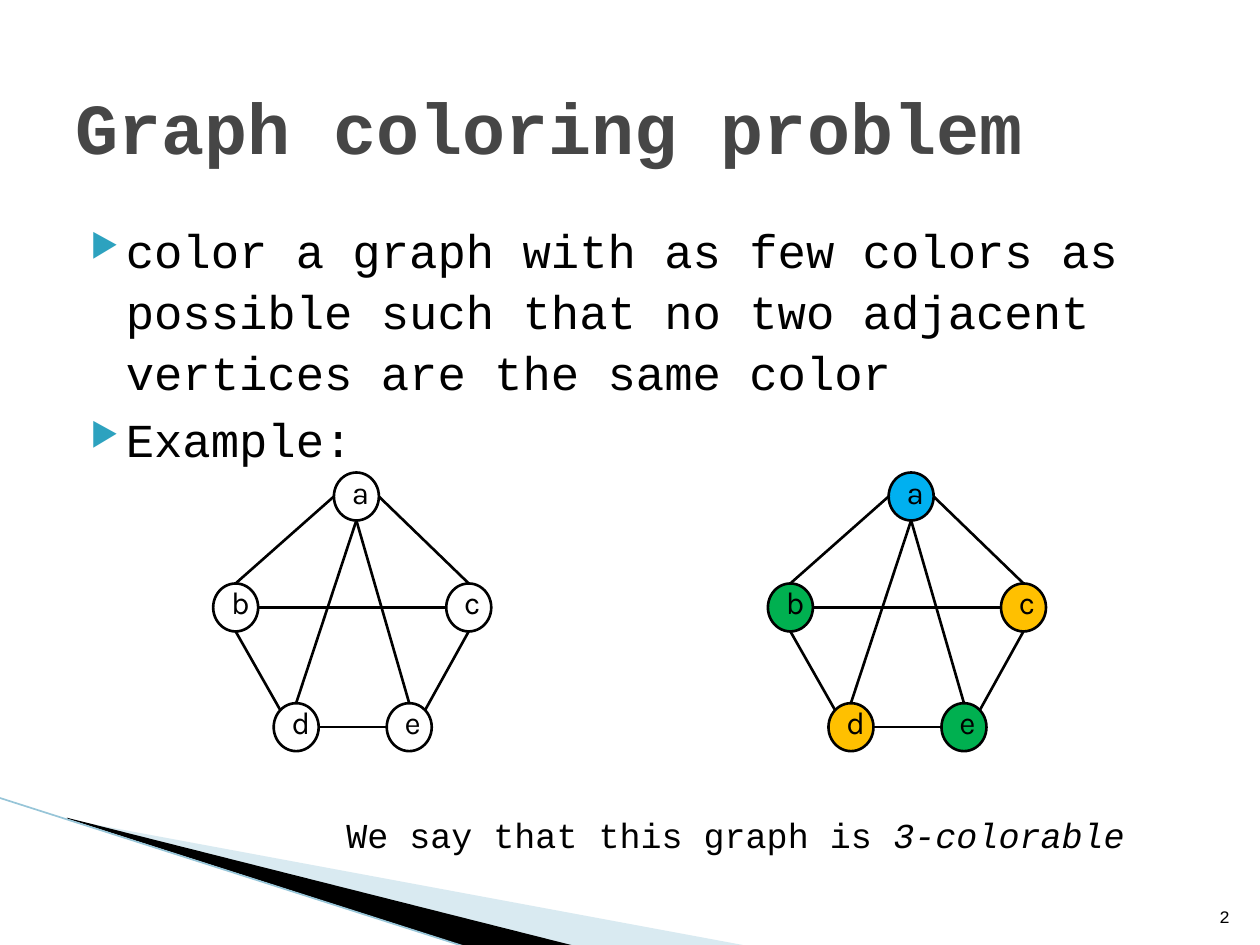
"""Build the slide that introduces the graph coloring problem."""
import lxml.etree
import pptx
import pptx.dml.color
import pptx.enum.shapes
import pptx.enum.text
import pptx.oxml.ns
import pptx.util

Pt = pptx.util.Pt
qn = pptx.oxml.ns.qn
ANCHOR = pptx.enum.text.MSO_ANCHOR
ALIGN = pptx.enum.text.PP_ALIGN

COLORS = {
    "black": "000000", "white": "FFFFFF", "title": "464646",
    "bullet": "2DA2BF", "pale": "A0CBDC", "edge": "97C5D8",
    "blue": "00B0F0", "green": "00B050", "yellow": "FFC000",
}
MONO, LABEL = "Courier New", "Karla"
VERTEX_W, VERTEX_H = 25.7, 27.4
VERTICES = {"a": (190.8, 270), "b": (121.8, 333.4), "c": (255, 333.4),
            "d": (156.4, 401.8), "e": (221, 401.8)}
SIDES = {"top": (0.5, 0), "bottom": (0.5, 1), "left": (0, 0.5), "right": (1, 0.5),
         "top left": (0.15, 0.15), "top right": (0.85, 0.15)}
EDGES = [("c", "bottom", "e", "top right"), ("d", "right", "e", "left"),
         ("d", "top left", "b", "bottom"), ("b", "top", "a", "left"),
         ("c", "top", "a", "right"), ("d", "top", "a", "bottom"),
         ("e", "top", "a", "bottom"), ("c", "left", "b", "right")]
PLAIN = dict.fromkeys(VERTICES, "white")
COLORING = {"a": "blue", "b": "green", "c": "yellow", "d": "yellow", "e": "green"}
GRAPH_SHIFT = 317


def rgb(name):
    """Return the named color."""
    return pptx.dml.color.RGBColor.from_string(COLORS[name])


def style_runs(paragraph, size, font=MONO, color="black", bold=False):
    """Format every run of a paragraph."""
    for run in paragraph.runs:
        run.font.size = Pt(size)
        run.font.name = font
        run.font.bold = bold
        run.font.color.rgb = rgb(color)


def add_text(slide, box, lines, size, color="black", bold=False,
             anchor=ANCHOR.TOP, top_inset=3.6):
    """Add a wrapped text box and return its paragraphs."""
    frame = slide.shapes.add_textbox(*map(Pt, box)).text_frame
    frame.word_wrap = True
    frame.vertical_anchor = anchor
    frame.margin_top = Pt(top_inset)
    frame.text = "\n".join(lines)
    for paragraph in frame.paragraphs:
        style_runs(paragraph, size, color=color, bold=bold)
    return frame.paragraphs


def add_bullet(paragraph):
    """Give a paragraph a hanging triangle bullet."""
    properties = paragraph._p.get_or_add_pPr()
    properties.set("marL", str(Pt(28.8)))
    properties.set("indent", str(-Pt(20.2)))
    bullet_color = lxml.etree.SubElement(properties, qn("a:buClr"))
    lxml.etree.SubElement(bullet_color, qn("a:srgbClr"), val=COLORS["bullet"])
    lxml.etree.SubElement(properties, qn("a:buSzPct"), val="68000")
    lxml.etree.SubElement(properties, qn("a:buChar"), char="▶")


def add_wedge(slide, points, color, opacity=None):
    """Add a filled polygon without an outline."""
    start, *rest = [(Pt(x), Pt(y)) for x, y in points]
    builder = slide.shapes.build_freeform(*start, scale=1.0)
    builder.add_line_segments(rest, close=True)
    wedge = builder.convert_to_shape()
    wedge.shadow.inherit = False
    wedge.fill.solid()
    wedge.fill.fore_color.rgb = rgb(color)
    wedge.line.fill.background()
    if opacity is not None:
        fill_color = wedge._element.spPr.find(".//" + qn("a:srgbClr"))
        lxml.etree.SubElement(fill_color, qn("a:alpha"), val=str(opacity * 1000))


def add_line(shapes, start, end, color="black", width=1.5):
    """Add a straight line without a shadow."""
    line = shapes.add_connector(
        pptx.enum.shapes.MSO_CONNECTOR.STRAIGHT, *map(Pt, (*start, *end)))
    line.line.color.rgb = rgb(color)
    line.line.width = Pt(width)
    lxml.etree.SubElement(line._element.spPr, qn("a:effectLst"))


def add_vertex(shapes, name, left, top, color):
    """Add a labelled vertex of a graph."""
    vertex = shapes.add_shape(pptx.enum.shapes.MSO_SHAPE.OVAL,
                              *map(Pt, (left, top, VERTEX_W, VERTEX_H)))
    vertex.shadow.inherit = False
    vertex.fill.solid()
    vertex.fill.fore_color.rgb = rgb(color)
    vertex.line.color.rgb = rgb("black")
    vertex.line.width = Pt(1.5)
    frame = vertex.text_frame
    frame.word_wrap = False
    frame.vertical_anchor = ANCHOR.MIDDLE
    frame.margin_left, frame.margin_bottom = Pt(6.5), Pt(5.8)
    frame.margin_top = frame.margin_right = 0
    frame.text = name
    frame.paragraphs[0].alignment = ALIGN.LEFT
    style_runs(frame.paragraphs[0], 18, LABEL)


def vertex_point(name, side, shift):
    """Return the point where an edge meets a vertex."""
    left, top = VERTICES[name]
    across, down = SIDES[side]
    return left + shift + across * VERTEX_W, top + down * VERTEX_H


def add_graph(slide, coloring, shift=0):
    """Add the five-vertex graph as a group."""
    graph = slide.shapes.add_group_shape().shapes
    for name, (left, top) in VERTICES.items():
        add_vertex(graph, name, left + shift, top, coloring[name])
    for first, first_side, second, second_side in EDGES:
        add_line(graph, vertex_point(first, first_side, shift),
                 vertex_point(second, second_side, shift))


def main():
    """Build and save the slide."""
    deck = pptx.Presentation()
    deck.slide_width, deck.slide_height = Pt(720), Pt(540)
    slide = deck.slides.add_slide(deck.slide_layouts[6])

    add_wedge(slide, [(39.6, 468.5), (428.4, 540.7), (328.3, 540.7), (39.6, 468)],
              "pale", opacity=40)
    add_wedge(slide, [(38.2, 467.3), (329, 540.7), (267.8, 541.4), (38.9, 468)], "black")
    add_line(slide.shapes, (-0.7, 455.8), (267.1, 541.4), "edge", 0.95)

    points = add_text(slide, (36, 116.6, 648, 356.4), [
        "color a graph with as few colors as possible such that "
        "no two adjacent vertices are the same color",
        "Example:"], 27, top_inset=7.6)
    for point in points:
        point.line_spacing = 1.07
        add_bullet(point)
    points[1].space_before = Pt(4)

    number, = add_text(slide, (681.1, 504.7, 28.8, 28.8), ["2"], 10, anchor=ANCHOR.BOTTOM)
    number.alignment = ALIGN.RIGHT
    add_text(slide, (36, 21.6, 648, 90), ["Graph coloring problem"], 41,
             "title", bold=True, anchor=ANCHOR.MIDDLE, top_inset=14.6)

    add_graph(slide, PLAIN)
    add_graph(slide, COLORING, GRAPH_SHIFT)

    remark, = add_text(slide, (190.8, 457.2, 473.8, 45.4),
                       ["We say that this graph is "], 20, top_inset=7.6)
    remark.add_run().text = "3-colorable"
    style_runs(remark, 20)
    remark.runs[-1].font.italic = True

    deck.save("out.pptx")


if __name__ == "__main__":
    main()
